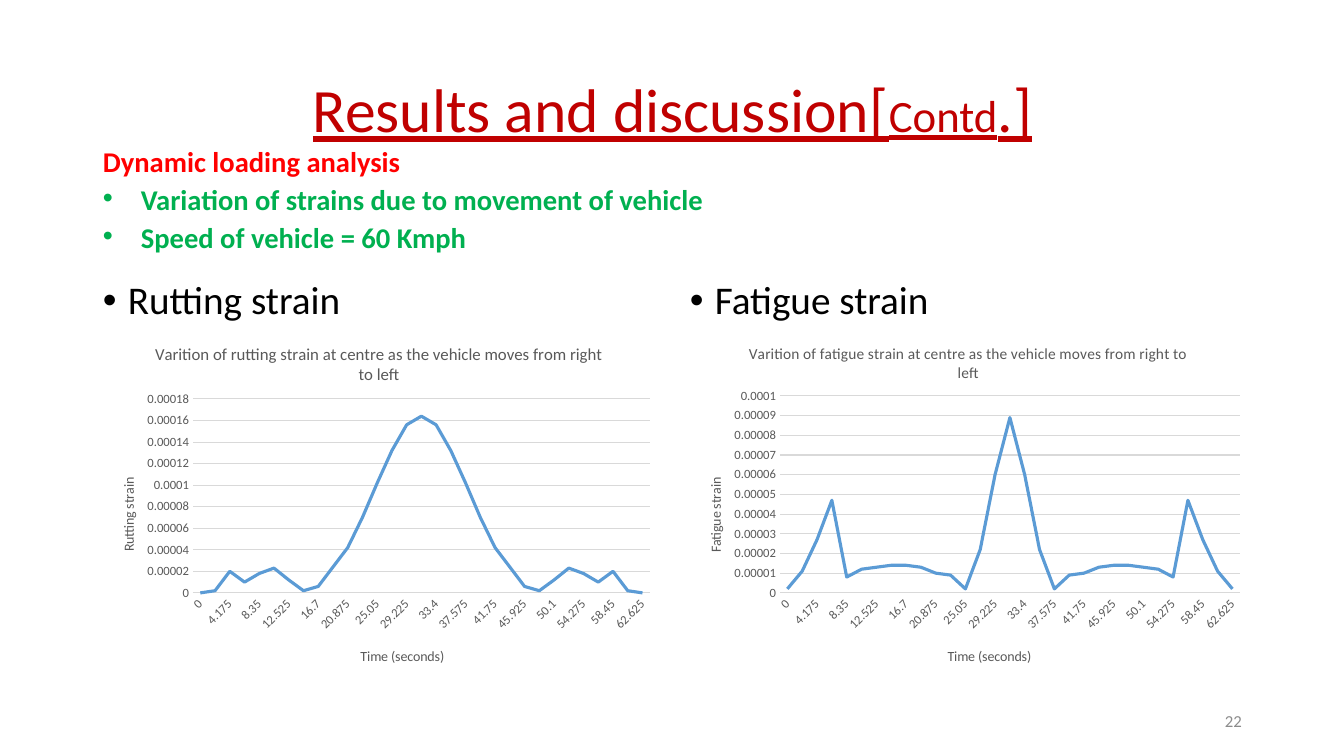
from dataclasses import dataclass
from lxml import etree
from pptx import Presentation
from pptx.chart.data import CategoryChartData
from pptx.dml.color import RGBColor
from pptx.enum.chart import XL_CHART_TYPE, XL_TICK_MARK
from pptx.enum.text import MSO_ANCHOR, MSO_AUTO_SIZE, PP_ALIGN
from pptx.oxml.ns import qn
from pptx.util import Pt

LINE = XL_CHART_TYPE.LINE
NO_TICK = XL_TICK_MARK.NONE
TOP, MIDDLE, BOTTOM = MSO_ANCHOR.TOP, MSO_ANCHOR.MIDDLE, MSO_ANCHOR.BOTTOM
LEFT, CENTER, RIGHT = PP_ALIGN.LEFT, PP_ALIGN.CENTER, PP_ALIGN.RIGHT
SCALE = 914400 / 100.8


@dataclass
class Theme:
    font: str = "Calibri"
    title: str = "C00000"
    head: str = "FF0000"
    point: str = "00B050"
    text: str = "000000"
    number: str = "8C8C8C"
    label: str = "595959"
    grid: str = "D9D9D9"
    curve: str = "5B9BD5"
    big: float = 44
    small: float = 32
    topic: float = 28
    body: float = 20.4
    foot: float = 12
    axis: float = 10
    tick: float = 9


def px(n):
    return round(n * SCALE)


class Deck:
    def __init__(self, theme):
        self.theme = theme
        self.file = Presentation()
        self.file.slide_width, self.file.slide_height = px(1344), px(756)
        self.slide = self.file.slides.add_slide(self.file.slide_layouts[5])

    def style(self, font, size, color, bold=False):
        font.name, font.size, font.bold = self.theme.font, Pt(size), bold
        font.color.rgb = RGBColor.from_string(color)

    def frame(self, shape, anchor):
        frame = shape.text_frame
        frame.word_wrap = True
        frame.auto_size = MSO_AUTO_SIZE.NONE
        frame.vertical_anchor = anchor
        return frame

    def title(self, box, parts):
        shape = self.slide.shapes.title
        shape.left, shape.top, shape.width, shape.height = map(px, box)
        para = self.frame(shape, MIDDLE).paragraphs[0]
        para.alignment, para.line_spacing = CENTER, 0.9
        for text, size in parts:
            run = para.add_run()
            run.text = text
            self.style(run.font, size, self.theme.title)
            run.font.underline = True

    def text(self, box, lines, size, anchor=TOP, align=LEFT,
             bold=False, space=0.9, before=10):
        shape = self.slide.shapes.add_textbox(*map(px, box))
        frame = self.frame(shape, anchor)
        frame.text = "\n".join(line[0] for line in lines)
        for para, (_, color, indent) in zip(frame.paragraphs, lines):
            para.alignment, para.line_spacing = align, space
            para.space_before = Pt(before)
            self.style(para.runs[0].font, size, color, bold)
            if indent:
                props = para._p.get_or_add_pPr()
                props.set("marL", str(px(indent)))
                props.set("indent", str(-px(indent)))
                font = etree.SubElement(props, qn("a:buFont"))
                font.set("typeface", "Arial")
                etree.SubElement(props, qn("a:buChar")).set("char", "•")

    def place(self, node, index, box, area):
        for old in node.findall(qn("c:layout")):
            node.remove(old)
        layout = etree.Element(qn("c:layout"))
        node.insert(index, layout)
        manual = etree.SubElement(layout, qn("c:manualLayout"))
        rules = [("xMode", "edge"), ("yMode", "edge")]
        if len(area) == 4:
            rules.insert(0, ("layoutTarget", "inner"))
        sizes = (box[2], box[3], box[2], box[3])
        rules += [(key, f"{n / size:.4f}")
                  for key, n, size in zip("xywh", area, sizes)]
        for key, value in rules:
            etree.SubElement(manual, qn("c:" + key)).set("val", value)

    def label(self, title, text, size, box, spot):
        title.text_frame.text = text
        para = title.text_frame.paragraphs[0]
        self.style(para.runs[0].font, size, self.theme.label)
        self.place(title._element, 1, box, spot)

    def chart(self, box, cats, values, heading, size, spot, name, top, step, area):
        theme = self.theme
        data = CategoryChartData()
        data.categories = cats
        data.add_series("Series 1", values)
        chart = self.slide.shapes.add_chart(LINE, *map(px, box), data).chart
        self.style(chart.font, theme.axis, theme.text)
        chart.has_legend = False
        chart.has_title = True
        self.label(chart.chart_title, heading, size, box, spot)
        self.place(chart._chartSpace.chart.plotArea, 0, box, area)
        plot = chart.plots[0]
        plot.vary_by_categories = False
        curve = plot.series[0]
        curve.smooth = False
        curve.format.line.color.rgb = RGBColor.from_string(theme.curve)
        curve.format.line.width = Pt(2.25)

        across, up = chart.category_axis, chart.value_axis
        for axis, text, at in ((across, "Time (seconds)", (265, 322)),
                               (up, name, (24, 152))):
            axis.has_title = True
            self.label(axis.axis_title, text, theme.axis, box, at)
            axis.major_tick_mark = axis.minor_tick_mark = NO_TICK
            self.style(axis.tick_labels.font, theme.tick, theme.label)
        up.axis_title.text_frame._txBody.bodyPr.set("rot", "-5400000")
        up.minimum_scale, up.maximum_scale, up.major_unit = 0, top, step
        up.tick_labels.number_format = "General"
        up.tick_labels.number_format_is_linked = False
        up.format.line.fill.background()
        up.has_major_gridlines = True
        for line in (across.format.line, up.major_gridlines.format.line):
            line.color.rgb = RGBColor.from_string(theme.grid)
            line.width = Pt(0.75)
        node = across._element
        node.txPr.bodyPr.set("rot", "-2700000")
        skip = etree.Element(qn("c:tickLblSkip"))
        skip.set("val", "2")
        node.find(qn("c:noMultiLvlLbl")).addprevious(skip)


def mirror(half):
    return [round(n * 1e-6, 6) for n in half + half[-2::-1]]


theme = Theme()
deck = Deck(theme)
deck.title((93, 40, 1159, 146), [("Results and discussion[", theme.big),
                                 ("Contd", theme.small), (".]", theme.big)])
deck.text((93, 105, 1159, 153), [
    ("Dynamic loading analysis", theme.head, 0),
    ("Variation of strains due to movement of vehicle", theme.point, 38),
    ("Speed of vehicle = 60 Kmph", theme.point, 38),
], theme.body, anchor=BOTTOM, bold=True, space=0.7)

times = [f"{2.0875 * i:g}" for i in range(31)]
rutting = [0, 2, 20, 10, 18, 23, 12, 2, 6, 24, 42, 70, 102, 132, 156, 164]
fatigue = [2, 11, 27, 47, 8, 12, 13, 14, 14, 13, 10, 9, 2, 22, 60, 89]
panels = [
    (93, 569, "Rutting", rutting, 12, (59, 17), 0.00018, 0.00002, (100, 76, 457, 194)),
    (680, 572, "Fatigue", fatigue, 11, (66, 17), 0.0001, 0.00001, (100, 73, 460, 197)),
]
for left, width, kind, half, size, spot, top, step, area in panels:
    name = f"{kind} strain"
    heading = (f"Varition of {name.lower()} at centre "
               "as the vehicle moves from right to left")
    deck.text((left, 276, width, 406), [(name, theme.text, 25)], theme.topic)
    deck.chart((left, 323, width, 360), times, mirror(half), heading, size,
               spot, name, top, step, area)

deck.text((950, 701, 302, 40), [("22", theme.number, 0)], theme.foot,
          anchor=MIDDLE, align=RIGHT, space=1, before=0)
deck.file.save("out.pptx")
